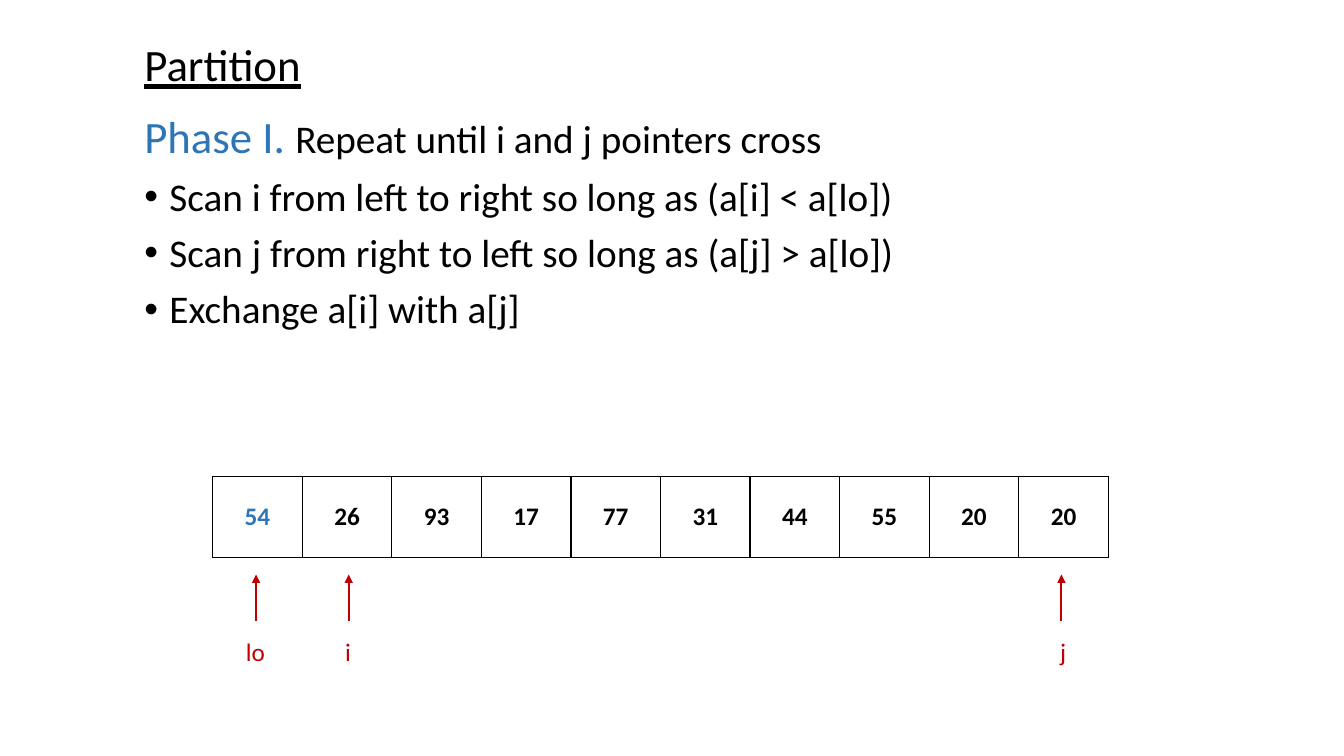
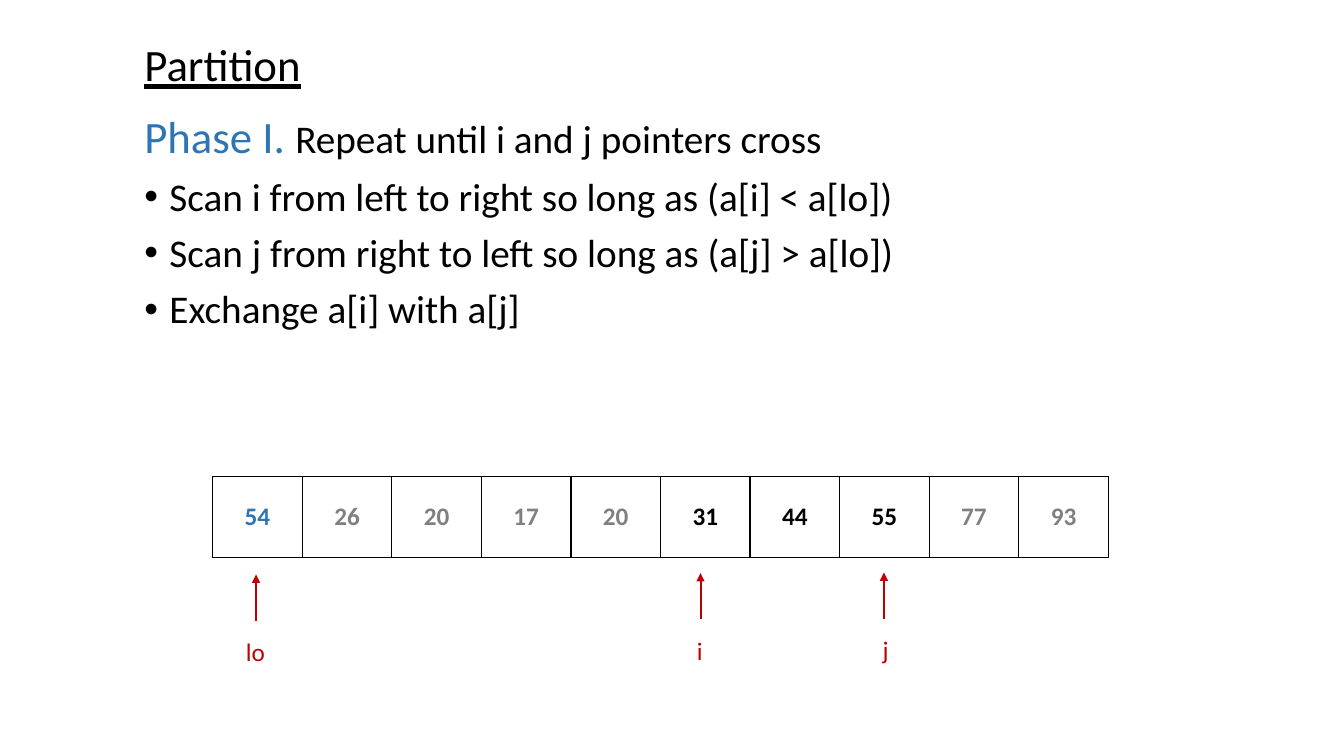
from dataclasses import dataclass

from lxml.etree import SubElement
from pptx import Presentation
from pptx.dml.color import RGBColor
from pptx.enum.shapes import MSO_CONNECTOR as Connector
from pptx.enum.text import MSO_ANCHOR as Anchor, MSO_AUTO_SIZE as AutoSize, PP_ALIGN as Align
from pptx.oxml.ns import qn
from pptx.util import Pt

# Shared style
FONT = "Calibri"
BLACK, WHITE, GREY = "000000", "FFFFFF", "808080"
BLUE, RED = "2E75B6", "C00000"

TITLE = "Partition"
PHASE = ("Phase I. ", "Repeat until i and j pointers cross")
STEPS = (
    "Scan i from left to right so long as (a[i] < a[lo])",
    "Scan j from right to left so long as (a[j] > a[lo])",
    "Exchange a[i] with a[j]",
)

# Array geometry
ARRAY_LEFT, ARRAY_TOP = 151.9, 340.5
CELL_WIDTH, CELL_HEIGHT = 64, 57.6
ARROW_LENGTH = 33.1
LABEL_TOP, LABEL_HEIGHT = 451.1, 29.1


@dataclass(frozen=True)
class Label:
    text: str
    offset: float  # from the arrow to the left edge of the label
    width: float


@dataclass(frozen=True)
class Pointer:
    label: Label
    x: float
    rise: float = 0


@dataclass(frozen=True)
class Step:
    values: tuple[int, ...]
    settled: frozenset[int]  # indices already scanned, shown in grey
    pointers: tuple[Pointer, ...]


LO = Label("lo", -14.4, 28.1)
I = Label("i", -9.7, 18.7)
J = Label("j", -8, 18.7)

STEPS_SHOWN = (
    Step((54, 26, 93, 17, 77, 31, 44, 55, 20, 20), frozenset(),
         (Pointer(LO, 182.9), Pointer(I, 249.1), Pointer(J, 758.2))),
    Step((54, 26, 20, 17, 20, 31, 44, 55, 77, 93), frozenset({1, 2, 3, 4, 8, 9}),
         (Pointer(LO, 182.9), Pointer(I, 500.4, 1), Pointer(J, 631.4, 1.4))),
)


def color(value: str) -> RGBColor:
    return RGBColor.from_string(value)


def add_run(paragraph, text: str, size: float, shade: str = BLACK,
            bold: bool = False, underline: bool = False) -> None:
    run = paragraph.add_run()
    run.text = text
    font = run.font
    font.name, font.size = FONT, Pt(size)
    font.bold, font.underline = bold, underline
    font.color.rgb = color(shade)


def add_line_text(slide, left: float, top: float, width: float, height: float,
                  text: str, size: float, shade: str, underline: bool = False) -> None:
    """A single-line text box that fits its text."""
    shape = slide.shapes.add_textbox(Pt(left), Pt(top), Pt(width), Pt(height))
    frame = shape.text_frame
    frame.word_wrap = False
    frame.auto_size = AutoSize.SHAPE_TO_FIT_TEXT
    add_run(frame.paragraphs[0], text, size, shade, underline=underline)


def add_bullet(paragraph) -> None:
    properties = paragraph._p.get_or_add_pPr()
    properties.set("marL", str(Pt(18)))
    properties.set("indent", str(-Pt(18)))
    SubElement(properties, qn("a:buFont"), typeface="Arial")
    SubElement(properties, qn("a:buChar"), char="•")


def add_body(slide) -> None:
    shape = slide.shapes.add_textbox(Pt(96), Pt(78.5), Pt(828), Pt(342.7))
    frame = shape.text_frame
    frame.word_wrap = True
    for index in range(1 + len(STEPS)):
        paragraph = frame.add_paragraph() if index else frame.paragraphs[0]
        paragraph.line_spacing = 0.9
        paragraph.space_before = Pt(10)
        if index:
            add_bullet(paragraph)
            add_run(paragraph, STEPS[index - 1], 28)
        else:
            add_run(paragraph, PHASE[0], 32, BLUE)
            add_run(paragraph, PHASE[1], 28)


def add_borders(cell) -> None:
    properties = cell._tc.get_or_add_tcPr()
    for side in ("L", "R", "T", "B"):
        line = SubElement(properties, qn(f"a:ln{side}"), w=str(Pt(1)))
        fill = SubElement(line, qn("a:solidFill"))
        SubElement(fill, qn("a:srgbClr"), val=BLACK)


def add_array(slide, step: Step) -> None:
    count = len(step.values)
    table = slide.shapes.add_table(
        1, count, Pt(ARRAY_LEFT), Pt(ARRAY_TOP),
        Pt(CELL_WIDTH * count), Pt(CELL_HEIGHT)).table
    table.first_row = table.horz_banding = False
    for index, value in enumerate(step.values):
        table.columns[index].width = Pt(CELL_WIDTH)
        cell = table.cell(0, index)
        add_borders(cell)
        cell.fill.solid()
        cell.fill.fore_color.rgb = color(WHITE)
        cell.vertical_anchor = Anchor.MIDDLE
        paragraph = cell.text_frame.paragraphs[0]
        paragraph.alignment = Align.CENTER
        shade = BLUE if index == 0 else GREY if index in step.settled else BLACK
        add_run(paragraph, str(value), 18, shade, bold=True)


def add_pointer(slide, pointer: Pointer) -> None:
    bottom = 443.5 - pointer.rise
    arrow = slide.shapes.add_connector(
        Connector.STRAIGHT, Pt(pointer.x), Pt(bottom),
        Pt(pointer.x), Pt(bottom - ARROW_LENGTH))
    arrow.line.color.rgb = color(RED)
    arrow.line.width = Pt(1.5)
    SubElement(arrow.line._get_or_add_ln(), qn("a:tailEnd"), type="triangle")
    SubElement(arrow._element.spPr, qn("a:effectLst"))
    label = pointer.label
    add_line_text(slide, pointer.x + label.offset, LABEL_TOP - pointer.rise,
                  label.width, LABEL_HEIGHT, label.text, 18, RED)


def add_step(presentation, step: Step) -> None:
    slide = presentation.slides.add_slide(presentation.slide_layouts[6])
    add_body(slide)
    add_array(slide, step)
    for pointer in step.pointers:
        add_pointer(slide, pointer)
    add_line_text(slide, 96, 23, 128.2, 46, TITLE, 32, BLACK, underline=True)


# Build the slides
presentation = Presentation()
presentation.slide_width, presentation.slide_height = Pt(960), Pt(540)
for step in STEPS_SHOWN:
    add_step(presentation, step)
presentation.save("out.pptx")
